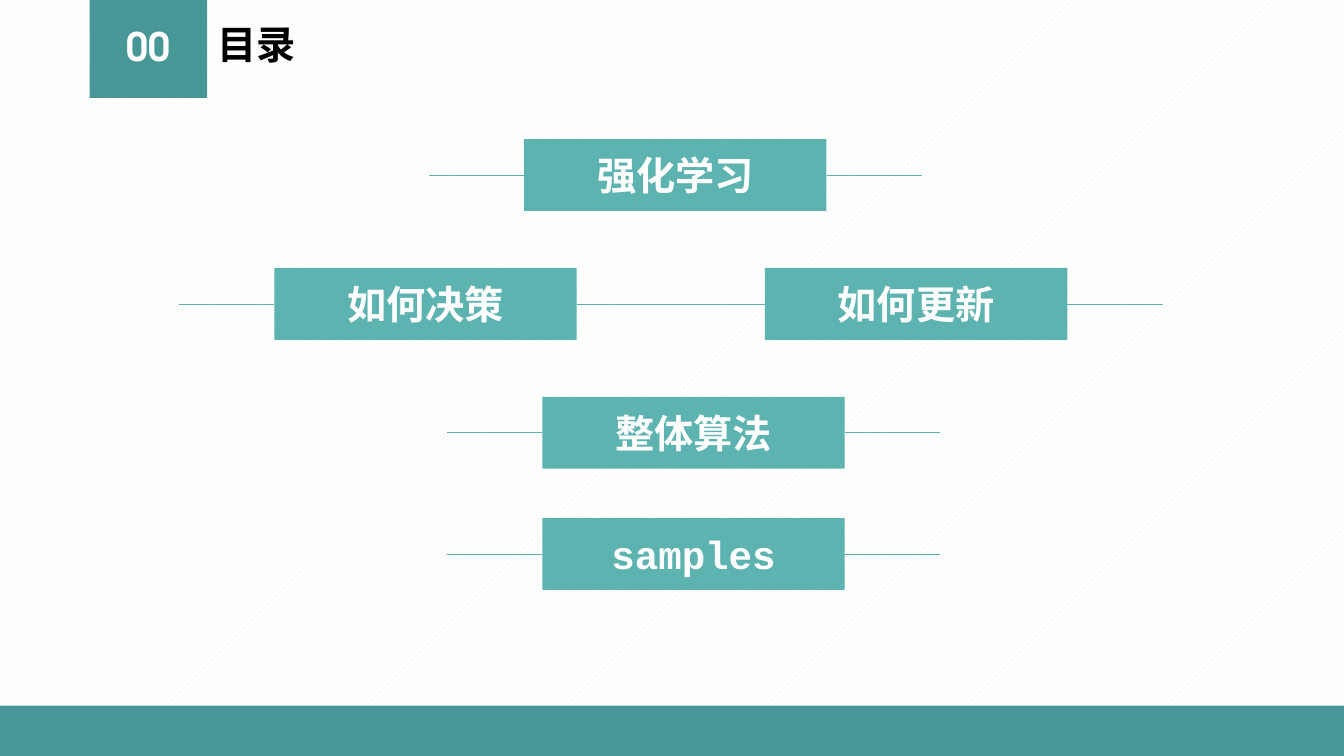
from dataclasses import dataclass

from lxml import etree
from pptx import Presentation
from pptx.dml.color import RGBColor
from pptx.enum import dml, shapes, text
from pptx.oxml import ns
from pptx.util import Pt


@dataclass(frozen=True)
class Theme:
    """Colours, fonts and sizes of the slide."""
    bar: RGBColor = RGBColor(0x47, 0x97, 0x96)
    box: RGBColor = RGBColor(0x5D, 0xB3, 0xB0)
    white: RGBColor = RGBColor(0xFF, 0xFF, 0xFF)
    black: RGBColor = RGBColor(0, 0, 0)
    stripe: RGBColor = RGBColor(0xF2, 0xF2, 0xF2)
    heading: str = "TeX Gyre Adventor"
    label: str = "Courier New"
    size: float = 28
    line: float = 0.5


T = Theme()
BOX_W, BOX_H, REACH = 216, 51.4, 68
TOPICS = [
    ("强化学习", 374.4, 99.3),
    ("如何更新", 546.4, 191.4),
    ("整体算法", 387.4, 283.4),
    ("samples", 387.4, 370),
    ("如何决策", 196, 191.4),
]


def set_background(s):
    """Fill the slide with pale diagonal stripes."""
    fill = s.background.fill
    fill.patterned()
    fill.pattern = dml.MSO_PATTERN.WIDE_UPWARD_DIAGONAL
    fill.fore_color.rgb = T.stripe
    fill.back_color.rgb = T.white


def write(sp, words, font, color, align, spacing=1.0):
    """Put one bold, vertically centred paragraph in a shape."""
    tf = sp.text_frame
    frame = {"word_wrap": True, "auto_size": text.MSO_AUTO_SIZE.NONE,
             "vertical_anchor": text.MSO_ANCHOR.MIDDLE}
    for name, value in frame.items():
        setattr(tf, name, value)
    p = tf.paragraphs[0]
    p.alignment, p.line_spacing = align, spacing
    r = p.add_run()
    r.text = words
    for name, value in {"name": font, "size": Pt(T.size), "bold": True}.items():
        setattr(r.font, name, value)
    r.font.color.rgb = color


def add_rect(parent, x, y, w, h, color):
    """Add a plain rectangle without outline or shadow."""
    sp = parent.add_shape(shapes.MSO_SHAPE.RECTANGLE, Pt(x), Pt(y), Pt(w), Pt(h))
    sp.shadow.inherit = False
    sp.fill.solid()
    sp.fill.fore_color.rgb = color
    sp.line.fill.background()
    return sp


def add_arm(parent, sp, x, y, end, site):
    """Draw a thin line from a side of a box outwards."""
    arm = parent.add_connector(shapes.MSO_CONNECTOR.STRAIGHT, Pt(x), Pt(y), Pt(end), Pt(y))
    arm.begin_connect(sp, site)
    arm.line.color.rgb = T.box
    arm.line.width = Pt(T.line)
    etree.SubElement(arm._element.spPr, ns.qn("a:effectLst"))


def add_topic(s, words, x, y):
    """Add a labelled box with a line on each side."""
    group = s.shapes.add_group_shape().shapes
    sp = add_rect(group, x, y, BOX_W, BOX_H, T.box)
    write(sp, words, T.label, T.white, text.PP_ALIGN.CENTER)
    middle, right = y + BOX_H / 2, x + BOX_W
    add_arm(group, sp, x, middle, x - REACH, 1)
    add_arm(group, sp, right, middle, right + REACH, 3)


def add_heading(s, number, words):
    """Add the number tile and format the title beside it."""
    tile = add_rect(s.shapes, 64, 0, 84, 70, T.bar)
    write(tile, number, T.heading, T.white, text.PP_ALIGN.CENTER, 0.9)
    title = s.shapes.title
    place = {"left": 148.4, "top": 16.6, "width": 373.7, "height": 33.8}
    for name, value in place.items():
        setattr(title, name, Pt(value))
    write(title, words, T.heading, T.black, text.PP_ALIGN.LEFT, 0.9)


def main():
    """Build the contents slide."""
    prs = Presentation()
    prs.slide_width, prs.slide_height = Pt(960), Pt(540)
    s = prs.slides.add_slide(prs.slide_layouts[5])
    set_background(s)
    add_rect(s.shapes, 0, 504, 960, 36, T.bar)
    add_heading(s, "00", "目录")
    for topic in TOPICS:
        add_topic(s, *topic)
    prs.save("out.pptx")


if __name__ == "__main__":
    main()
